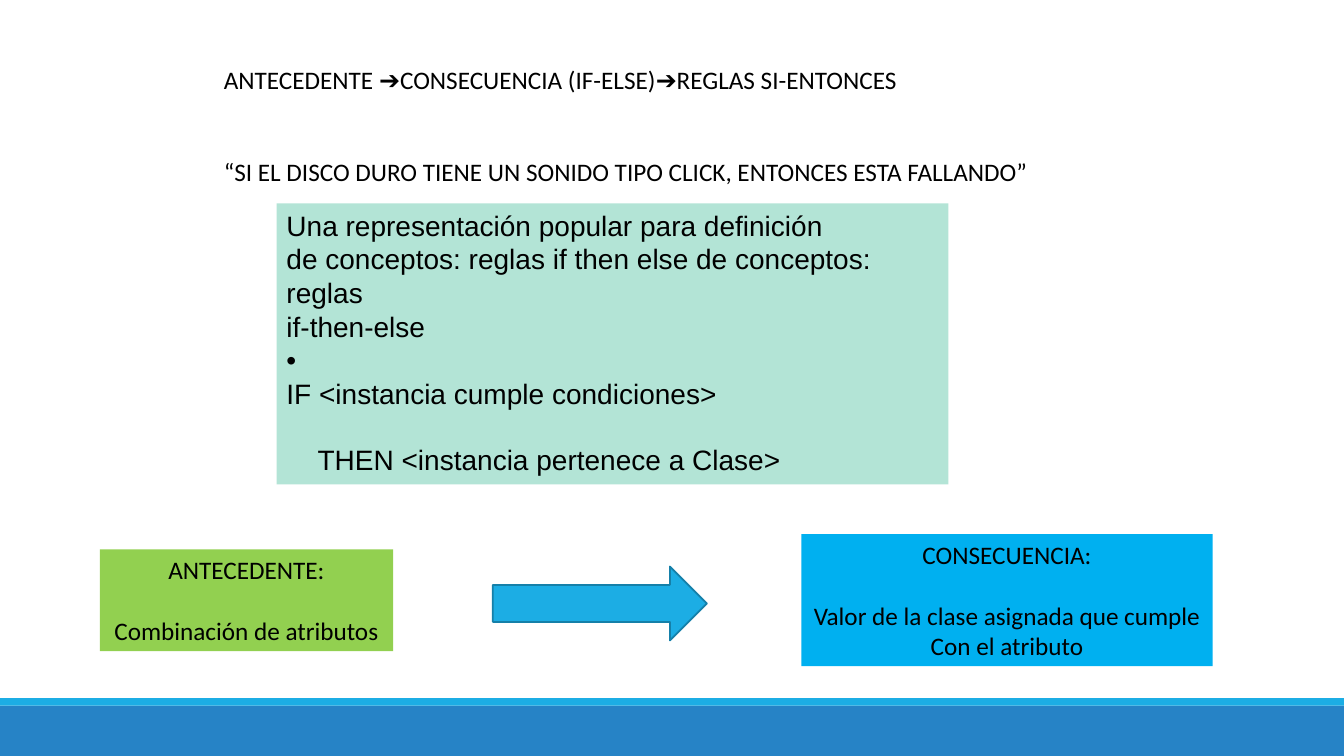
from dataclasses import dataclass
from pptx import Presentation
from pptx.dml.color import RGBColor
from pptx.enum.shapes import MSO_SHAPE
from pptx.enum.text import MSO_ANCHOR, MSO_AUTO_SIZE, PP_ALIGN
from pptx.util import Inches, Pt


@dataclass(frozen=True)
class Theme:
    """Colours, fonts, type sizes and the line heights of the fonts."""
    ink: str = "000000"
    blue: str = "2683C6"
    cyan: str = "1CADE4"
    edge: str = "1580A9"
    green: str = "92D050"
    sky: str = "00B0F0"
    mint: str = "B3E4D6"
    base: tuple = ("Calibri", 18, 1.22)
    rule: tuple = ("Arial", 20, 1.15)
    border: float = 1.25


@dataclass(frozen=True)
class Line:
    """A paragraph with the lines left free above it and its indent in columns."""
    text: str
    gap: int = 0
    indent: float = 0


class Board:
    """Draws on one slide with a grid of 80 columns and 45 rows."""

    def __init__(self, deck, theme):
        """Add a title-only slide to the deck."""
        self.theme = theme
        self.col = deck.slide_width / 80
        self.row = deck.slide_height / 45
        self.slide = deck.slides.add_slide(deck.slide_layouts[5])

    def place(self, col, row, wide, high):
        """Turn grid cells into lengths."""
        return (round(col * self.col), round(row * self.row),
                round(wide * self.col), round(high * self.row))

    def shape(self, kind, cell, fill, edge=None):
        """Add a flat shape."""
        item = self.slide.shapes.add_shape(kind, *self.place(*cell))
        item.shadow.inherit = False
        item.fill.solid()
        item.fill.fore_color.rgb = RGBColor.from_string(fill)
        if edge:
            item.line.color.rgb = RGBColor.from_string(edge)
            item.line.width = Pt(self.theme.border)
        else:
            item.line.fill.background()
        return item

    def label(self, item, lines, style, align, wrap=False):
        """Fill a shape with formatted paragraphs."""
        font, size, lead = style
        frame = item.text_frame
        frame.text = "\n".join(line.text for line in lines)
        frame.word_wrap = wrap
        frame.auto_size = MSO_AUTO_SIZE.SHAPE_TO_FIT_TEXT
        frame.vertical_anchor = MSO_ANCHOR.TOP
        for para, line in zip(frame.paragraphs, lines):
            para.alignment = align
            para.space_before = Pt(round(line.gap * size * lead))
            if line.indent:
                para._p.get_or_add_pPr().set("marL", str(round(line.indent * self.col)))
            for run in para.runs:
                run.font.name = font
                run.font.size = Pt(size)
                run.font.color.rgb = RGBColor.from_string(self.theme.ink)

    def title(self, cell, lines):
        """Move and fill the title placeholder."""
        item = self.slide.shapes.title
        item.left, item.top, item.width, item.height = self.place(*cell)
        self.label(item, lines, self.theme.base, PP_ALIGN.LEFT)

    def bar(self, cell, fill):
        """Add a plain band."""
        self.shape(MSO_SHAPE.RECTANGLE, cell, fill)

    def box(self, cell, fill, lines):
        """Add a box with centred text."""
        item = self.shape(MSO_SHAPE.RECTANGLE, cell, fill)
        self.label(item, lines, self.theme.base, PP_ALIGN.CENTER)

    def panel(self, cell, fill, lines):
        """Add a box with wrapped text set left."""
        item = self.shape(MSO_SHAPE.RECTANGLE, cell, fill)
        self.label(item, lines, self.theme.rule, PP_ALIGN.LEFT, True)

    def arrow(self, cell):
        """Add a block arrow to the right."""
        self.shape(MSO_SHAPE.RIGHT_ARROW, cell, self.theme.cyan, self.theme.edge)


def main():
    """Build and save the slide."""
    deck = Presentation()
    deck.slide_width, deck.slide_height = Inches(13.33), Inches(7.5)
    theme = Theme()
    board = Board(deck, theme)
    board.bar((0, 42, 80, 3), theme.blue)
    board.bar((0, 41.56, 80, 0.44), theme.cyan)
    board.title((12.72, 3.54, 49.5, 7.86), [
        Line("ANTECEDENTE ➔CONSECUENCIA (IF-ELSE)➔REGLAS SI-ENTONCES"),
        Line("“SI EL DISCO DURO TIENE UN SONIDO TIPO CLICK, ENTONCES ESTA FALLANDO”", 2),
    ])
    board.box((5.94, 32.7, 17.46, 6.06), theme.green, [
        Line("ANTECEDENTE:"),
        Line("Combinación de atributos", 1),
    ])
    board.box((47.7, 31.8, 24.48, 7.86), theme.sky, [
        Line("CONSECUENCIA:"),
        Line("Valor de la clase asignada que cumple", 1),
        Line("Con el atributo"),
    ])
    board.panel((16.46, 12.1, 40, 16.74), theme.mint, [
        Line("Una representación popular para definición"),
        Line("de conceptos: reglas if then else de conceptos:"),
        Line("reglas"),
        Line("if-then-else"),
        Line("•"),
        Line("IF <instancia cumple condiciones>"),
        Line("THEN <instancia pertenece a Clase>", 1, 1.85),
    ])
    board.arrow((29.34, 33.72, 12.74, 4.4))
    deck.save("out.pptx")


if __name__ == "__main__":
    main()
